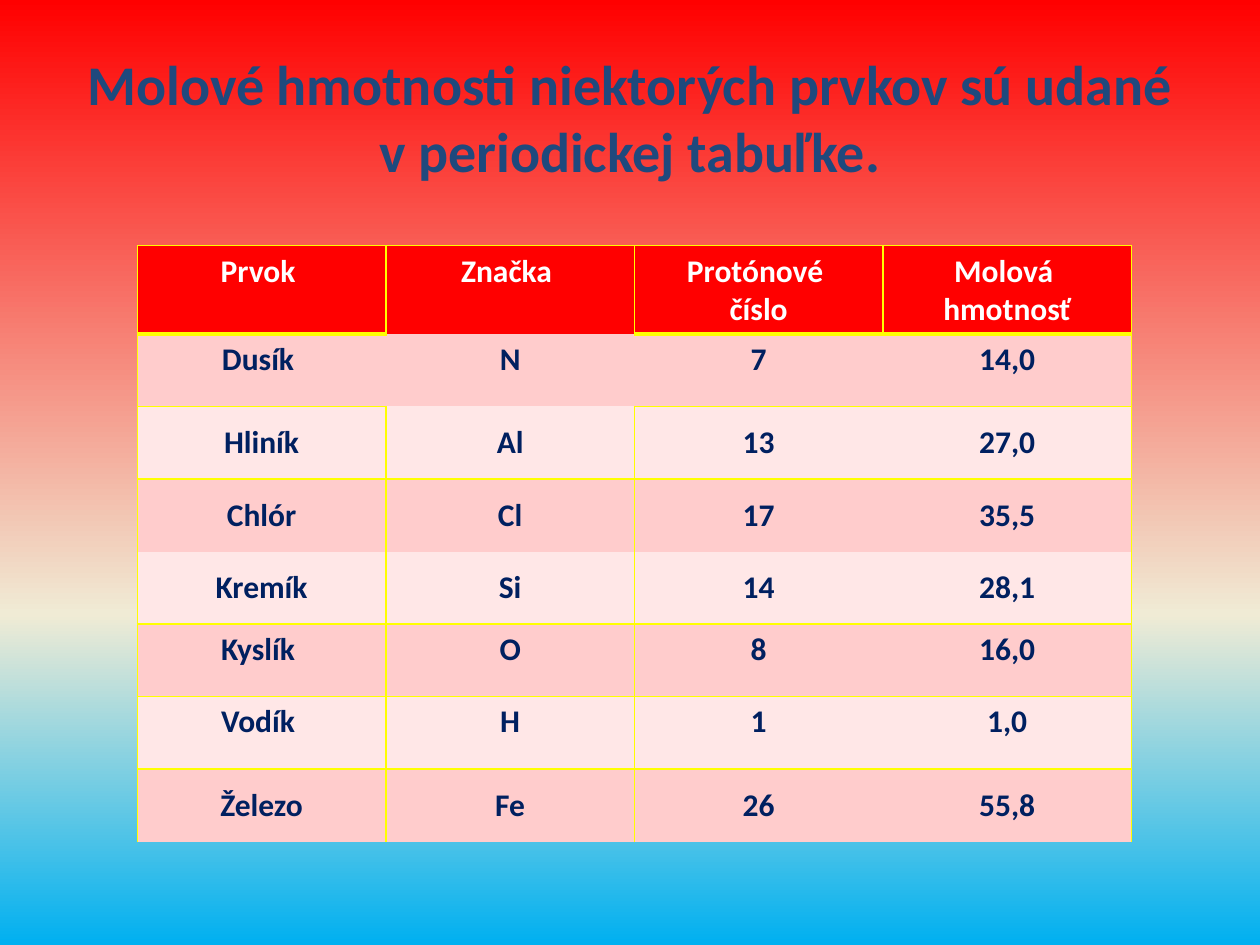
from dataclasses import dataclass

from pptx import Presentation
from pptx.dml.color import RGBColor
from pptx.enum.text import MSO_ANCHOR as Anchor, PP_ALIGN as Align
from pptx.oxml.ns import qn
from pptx.oxml.xmlchemy import OxmlElement as Element
from pptx.util import Inches, Pt

FONT = "Calibri"
YELLOW = "FFFF00"
HEADER_FILL = "FF0000"
BAND_FILLS = ("FFE7E7", "FFCCCC")
LEFT, TOP, WIDTH, HEIGHT = 1.09, 1.95, 7.89, 4.73
HEADER_HEIGHT = 0.7
BACKGROUND = ((0, "FF0000"), (65, "F0EBD5"), (100, "00B0F0"))


@dataclass
class Row:
    """A table row with its anchor and the widths in points of its vertical rules."""
    cells: tuple[str, ...]
    anchor: Anchor = Anchor.MIDDLE
    rules: tuple[int, ...] = (1, 1, 1, 0, 1)


ROWS = (
    Row(("Prvok ", "Značka ", "Protónové \nčíslo", "Molová \nhmotnosť"),
        Anchor.TOP, (1, 1, 1, 1, 1)),
    Row(("Dusík ", "N", "7", "14,0"), Anchor.TOP, (1, 0, 0, 0, 1)),
    Row(("Hliník", "Al", "13", "27,0")),
    Row(("Chlór", "Cl", "17", "35,5")),
    Row(("Kremík", "Si", "14", "28,1")),
    Row(("Kyslík ", "O", "8", "16,0"), Anchor.TOP),
    Row(("Vodík ", "H", "1", "1,0"), Anchor.TOP),
    Row(("Železo", "Fe", "26", "55,8")),
)
NONE, THIN = (0,) * 4, (1,) * 4
LEVELS = (THIN, (3, 0, 3, 3), (1, 0, 1, 1), THIN, NONE, THIN, THIN, THIN, NONE)


def rgb(value: str) -> RGBColor:
    """Turn a hex string into a colour."""
    return RGBColor.from_string(value)


def add_color(parent, value: str) -> None:
    """Append an sRGB colour element."""
    color = Element("a:srgbClr")
    color.set("val", value)
    parent.append(color)


def set_background(s) -> None:
    """Fill the slide with a vertical gradient."""
    fill = s.background.fill
    fill.gradient()
    fill.gradient_angle = 270
    stops = next(s.element.iter(qn("a:gsLst")))
    for stop in list(stops):
        stops.remove(stop)
    for percent, value in BACKGROUND:
        stop = Element("a:gs")
        stop.set("pos", str(percent * 1000))
        add_color(stop, value)
        stops.append(stop)


def write(tf, text: str, size: int, color: str) -> None:
    """Write centred bold lines, one paragraph each."""
    for i, line in enumerate(text.split("\n")):
        p = tf.add_paragraph() if i else tf.paragraphs[0]
        p.alignment = Align.CENTER
        r = p.add_run()
        r.text = line
        r.font.name, r.font.size, r.font.bold = FONT, Pt(size), True
        r.font.color.rgb = rgb(color)


def add_border(cell, side: str, width: int) -> None:
    """Rule one side of a cell, or clear it when the width is zero."""
    ln = Element(f"a:ln{side}")
    ln.set("w", str(Pt(width)))
    paint = Element("a:solidFill" if width else "a:noFill")
    if width:
        add_color(paint, YELLOW)
    ln.append(paint)
    cell._tc.get_or_add_tcPr().append(ln)


def add_title(s, text: str) -> None:
    """Add the slide title."""
    sp = s.shapes.add_textbox(Inches(0.5), Inches(0.3), Inches(9), Inches(1.25))
    tf = sp.text_frame
    tf.word_wrap = True
    tf.vertical_anchor = Anchor.MIDDLE
    write(tf, text, 32, "1F497D")


def add_elements_table(s) -> None:
    """Add the table of elements and their molar masses."""
    columns = len(ROWS[0].cells)
    table = s.shapes.add_table(len(ROWS), columns, Inches(LEFT), Inches(TOP),
                               Inches(WIDTH), Inches(HEIGHT)).table
    table.horz_banding = False
    table.first_row = False
    for column in table.columns:
        column.width = Inches(WIDTH / columns)
    body_height = (HEIGHT - HEADER_HEIGHT) / (len(ROWS) - 1)
    for i, row in enumerate(ROWS):
        table.rows[i].height = Inches(body_height if i else HEADER_HEIGHT)
        for j, text in enumerate(row.cells):
            cell = table.cell(i, j)
            cell.vertical_anchor = row.anchor
            add_border(cell, "L", row.rules[j])
            add_border(cell, "R", row.rules[j + 1])
            add_border(cell, "T", LEVELS[i][j])
            add_border(cell, "B", LEVELS[i + 1][j])
            cell.fill.solid()
            cell.fill.fore_color.rgb = rgb(BAND_FILLS[i % 2] if i else HEADER_FILL)
            write(cell.text_frame, text, 18, "002060" if i else "FFFFFF")


def main() -> None:
    """Build and save the slide."""
    prs = Presentation()
    prs.slide_width, prs.slide_height = Inches(10), Inches(7.5)
    s = prs.slides.add_slide(prs.slide_layouts[6])
    set_background(s)
    add_title(s, "Molové hmotnosti niektorých prvkov sú udané v periodickej tabuľke.")
    add_elements_table(s)
    prs.save("out.pptx")


if __name__ == "__main__":
    main()
